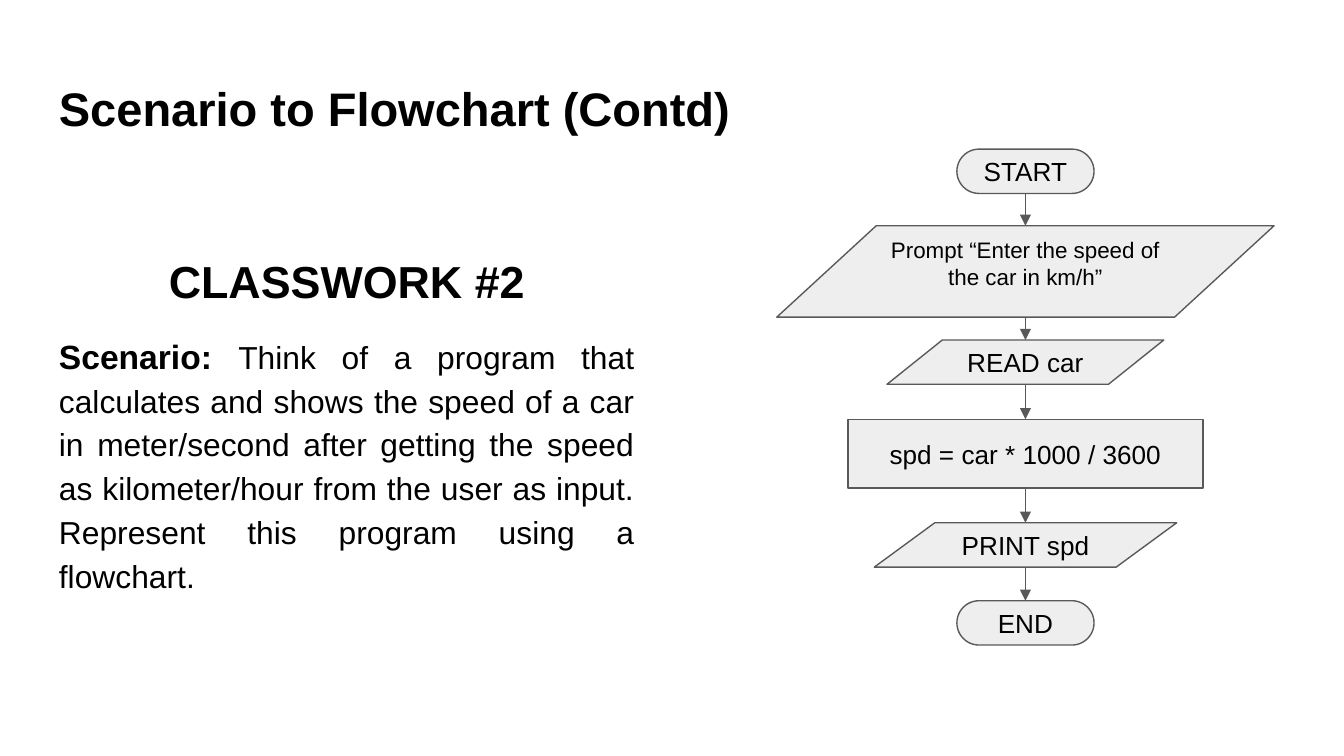
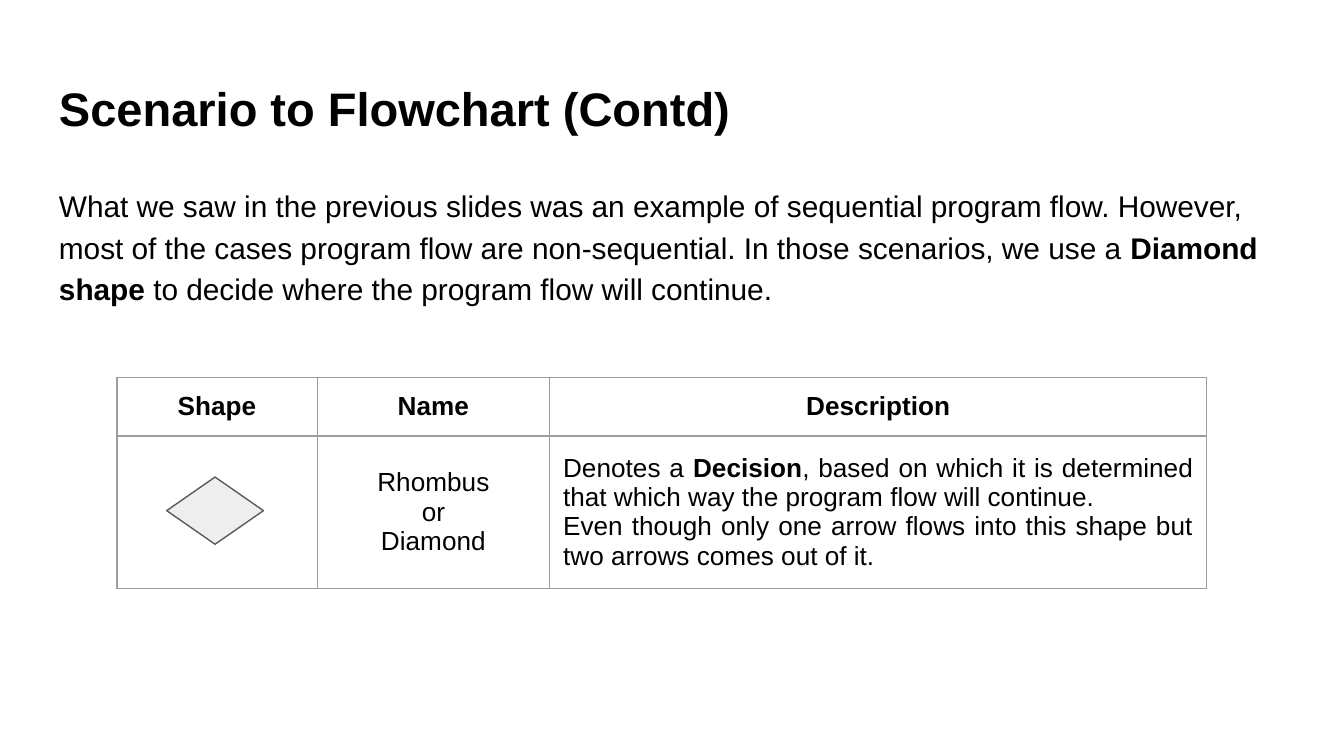
from dataclasses import dataclass

from lxml import etree
from pptx import Presentation
from pptx.dml.color import RGBColor
from pptx.enum import shapes, text
from pptx.oxml import ns
from pptx.util import Inches, Pt

SHAPE = shapes.MSO_SHAPE
ALIGN = text.PP_ALIGN
ANCHOR = text.MSO_ANCHOR


@dataclass(frozen=True)
class Theme:
    font: str = "Arial"
    ink: str = "000000"
    fill: str = "EEEEEE"
    line: str = "595959"
    grid: str = "9E9E9E"
    line_width: float = 0.75
    inset: float = 0.1
    title: float = 25.2
    heading: float = 24
    label: float = 18
    scenario: float = 17
    body: float = 16
    small: float = 14
    prompt: float = 12


THEME = Theme()
SLIDE_WIDTH = 10
SLIDE_HEIGHT = SLIDE_WIDTH * 9 / 16
MARGIN = 0.34
TITLE = "Scenario to Flowchart (Contd)"


def color(value):
    return RGBColor.from_string(value)


def set_insets(target):
    """Give a text frame or table cell the same inset on every side."""
    target.margin_left = target.margin_right = Inches(THEME.inset)
    target.margin_top = target.margin_bottom = Inches(THEME.inset)


def write_paragraph(paragraph, parts, size, align=ALIGN.LEFT, bold=False):
    """Fill a paragraph; parts is a string or a list of (text, run font settings)."""
    paragraph.alignment = align
    font = paragraph.font
    font.name, font.size, font.bold = THEME.font, Pt(size), bold
    font.color.rgb = color(THEME.ink)
    for words, settings in [(parts, {})] if isinstance(parts, str) else parts:
        run = paragraph.add_run()
        run.text = words
        for name, value in settings.items():
            setattr(run.font, name, value)


def add_text_box(slide, box, anchor=ANCHOR.TOP):
    frame = slide.shapes.add_textbox(*map(Inches, box)).text_frame
    frame.word_wrap = True
    frame.vertical_anchor = anchor
    set_insets(frame)
    return frame


def add_title(slide, width):
    frame = add_text_box(slide, (MARGIN, 0.49, width, 0.63))
    write_paragraph(frame.paragraphs[0], TITLE, THEME.title, bold=True)


def add_symbol(slide, kind, box):
    symbol = slide.shapes.add_shape(kind, *map(Inches, box))
    symbol.shadow.inherit = False
    symbol.fill.solid()
    symbol.fill.fore_color.rgb = color(THEME.fill)
    symbol.line.color.rgb = color(THEME.line)
    symbol.line.width = Pt(THEME.line_width)
    return symbol


def add_arrow(slide, x, top, bottom):
    arrow = slide.shapes.add_connector(
        shapes.MSO_CONNECTOR.STRAIGHT, *map(Inches, (x, top, x, bottom)))
    arrow.line.color.rgb = color(THEME.line)
    arrow.line.width = Pt(THEME.line_width)
    etree.SubElement(arrow.line._get_or_add_ln(), ns.qn("a:tailEnd"), type="triangle")
    etree.SubElement(arrow._element.spPr, ns.qn("a:effectLst"))


def add_flowchart(slide, left, top, width):
    """Stack the steps on the centre line of the column and join them with arrows."""
    steps = [  # kind, label, offset from top, width, height
        (SHAPE.FLOWCHART_TERMINATOR, "START", 0, 1.02, 0.33),
        (SHAPE.FLOWCHART_DATA, "Prompt “Enter the speed of the car in km/h”",
         0.57, 3.7, 0.68),
        (SHAPE.FLOWCHART_DATA, "READ car", 1.42, 2.06, 0.33),
        (SHAPE.FLOWCHART_PROCESS, "spd = car * 1000 / 3600", 2.01, 2.64, 0.51),
        (SHAPE.FLOWCHART_DATA, "PRINT spd", 2.78, 2.25, 0.33),
        (SHAPE.FLOWCHART_TERMINATOR, "END", 3.36, 1.02, 0.33),
    ]
    center = left + width / 2
    previous_bottom = None
    for kind, label, offset, step_width, step_height in steps:
        step_top = top + offset
        symbol = add_symbol(
            slide, kind, (center - step_width / 2, step_top, step_width, step_height))
        frame = symbol.text_frame
        frame.word_wrap = True
        frame.vertical_anchor = ANCHOR.MIDDLE
        set_insets(frame)
        size = THEME.small
        if label.startswith("Prompt"):
            size = THEME.prompt
            frame.margin_top, frame.margin_bottom = Inches(0.05), Inches(0.18)
        write_paragraph(frame.paragraphs[0], label, size, ALIGN.CENTER)
        if previous_bottom is not None:
            add_arrow(slide, center, previous_bottom, step_top)
        previous_bottom = step_top + step_height


def add_scenario(slide, box):
    frame = add_text_box(slide, box, ANCHOR.MIDDLE)
    heading, scenario = frame.paragraphs[0], frame.add_paragraph()
    write_paragraph(heading, "CLASSWORK #2", THEME.heading, ALIGN.CENTER, bold=True)
    write_paragraph(scenario, [
        ("Scenario: ", {"bold": True, "size": Pt(THEME.label)}),
        ("Think of a program that calculates and shows the speed of a car in "
         "meter/second after getting the speed as kilometer/hour from the user as "
         "input. Represent this program using a flowchart.", {}),
    ], THEME.scenario, ALIGN.JUSTIFY)
    heading.line_spacing = scenario.line_spacing = 1.15
    scenario.space_before = scenario.space_after = Pt(12)


def add_introduction(slide, box):
    paragraph = add_text_box(slide, box).paragraphs[0]
    write_paragraph(paragraph, [
        ("What we saw in the previous slides was an example of sequential program "
         "flow. However, most of the cases program flow are non-sequential. In those "
         "scenarios, we use a ", {}),
        ("Diamond shape", {"bold": True}),
        (" to decide where the program flow will continue.", {}),
    ], THEME.body)
    paragraph.line_spacing = 1.15


def set_borders(cell):
    properties = cell._tc.get_or_add_tcPr()
    for index, side in enumerate(("lnL", "lnR", "lnT", "lnB")):
        border = etree.Element(ns.qn(f"a:{side}"), w=str(Pt(THEME.line_width)))
        fill = etree.SubElement(border, ns.qn("a:solidFill"))
        etree.SubElement(fill, ns.qn("a:srgbClr"), val=THEME.grid)
        properties.insert(index, border)


def add_shape_table(slide, left, top):
    """Draw the table of shapes; its rows grow to fit their text."""
    widths, heights = (1.49, 1.73, 4.89), (0.3, 0.88)
    description = [
        [("Denotes a ", {}), ("Decision", {"bold": True}),
         (", based on which it is determined that which way the program flow will "
          "continue. ", {})],
        "Even though only one arrow flows into this shape but two arrows comes out of it.",
    ]
    rows = [
        [["Shape"], ["Name"], ["Description"]],
        [[], ["Rhombus", "or", "Diamond"], description],
    ]
    table = slide.shapes.add_table(
        len(rows), len(widths),
        *map(Inches, (left, top, sum(widths), sum(heights)))).table
    table.first_row = table.horz_banding = False
    for column, width in zip(table.columns, widths):
        column.width = Inches(width)
    for row_index, (cells, height) in enumerate(zip(rows, heights)):
        table.rows[row_index].height = Inches(height)
        for column_index, lines in enumerate(cells):
            cell = table.cell(row_index, column_index)
            cell.fill.background()
            cell.vertical_anchor = ANCHOR.MIDDLE
            set_insets(cell)
            set_borders(cell)
            align = ALIGN.JUSTIFY if lines is description else ALIGN.CENTER
            frame = cell.text_frame
            for line_index, line in enumerate(lines):
                paragraph = frame.add_paragraph() if line_index else frame.paragraphs[0]
                write_paragraph(paragraph, line, THEME.small, align, bold=row_index == 0)
    add_symbol(slide, SHAPE.FLOWCHART_DECISION, (left + 0.37, top + 0.74, 0.72, 0.5))


def build_classwork_slide(slide):
    add_title(slide, 5.37)
    add_scenario(slide, (MARGIN, 1.26, 4.48, 3.73))
    add_flowchart(slide, 5.78, 1.11, 3.7)


def build_decision_slide(slide):
    add_title(slide, 9.32)
    add_introduction(slide, (MARGIN, 1.26, 9.18, 3.74))
    add_shape_table(slide, 0.87, 2.81)


def main():
    presentation = Presentation()
    presentation.slide_width = Inches(SLIDE_WIDTH)
    presentation.slide_height = Inches(SLIDE_HEIGHT)
    blank = presentation.slide_layouts[6]
    for build in (build_classwork_slide, build_decision_slide):
        build(presentation.slides.add_slide(blank))
    presentation.save("out.pptx")


if __name__ == "__main__":
    main()
